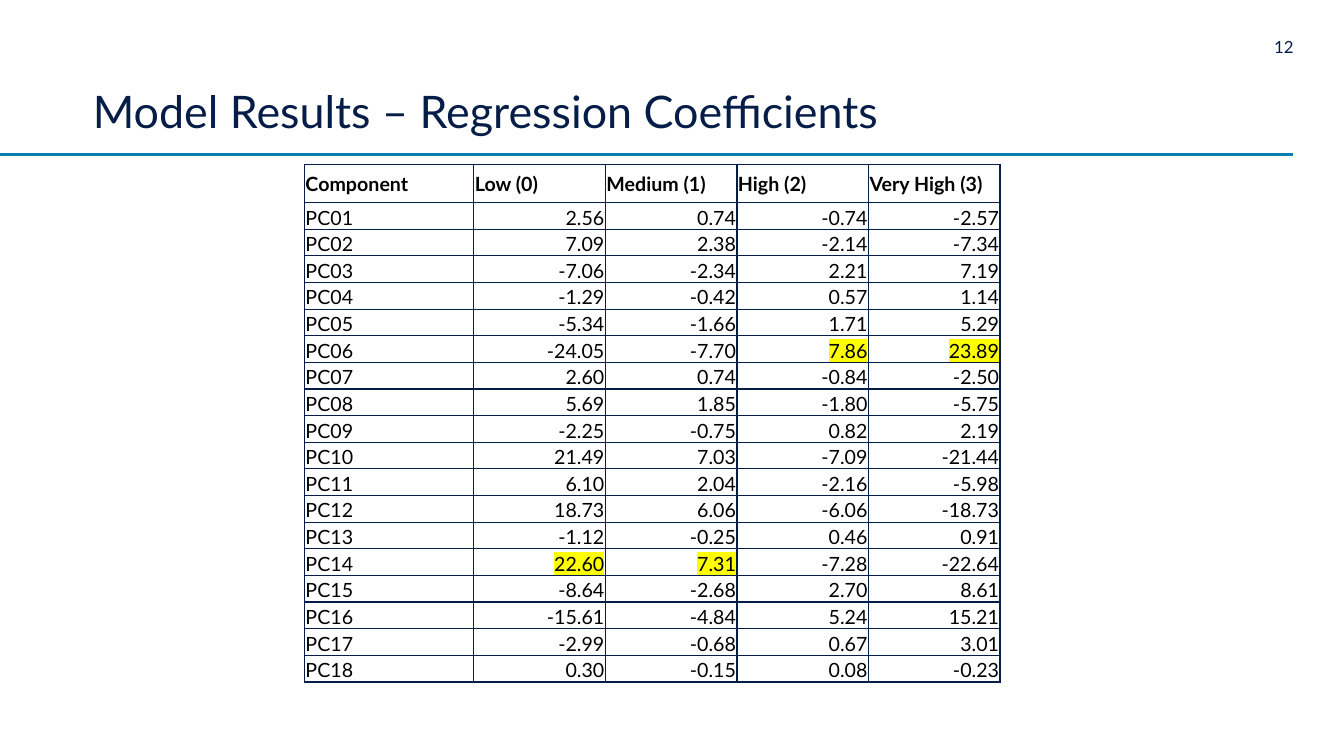
import pptx
import pptx.util
import pptx.oxml
import pptx.oxml.ns
import pptx.dml.color
import pptx.enum.shapes
import pptx.enum.text
import lxml.etree

Inches = pptx.util.Inches
Pt = pptx.util.Pt
RGB = pptx.dml.color.RGBColor
Align = pptx.enum.text.PP_ALIGN
Anchor = pptx.enum.text.MSO_ANCHOR
qn = pptx.oxml.ns.qn

NAVY = RGB(0x06, 0x1D, 0x48)
TEAL = RGB(0x09, 0x7E, 0xB1)
BLACK = RGB(0, 0, 0)
YELLOW = RGB(0xFF, 0xFF, 0)
FONT = "Lato"

HEADS = ["Component", "Low (0)", "Medium (1)", "High (2)", "Very High (3)"]
COEFS = [
    (2.56, 0.74, -0.74, -2.57),
    (7.09, 2.38, -2.14, -7.34),
    (-7.06, -2.34, 2.21, 7.19),
    (-1.29, -0.42, 0.57, 1.14),
    (-5.34, -1.66, 1.71, 5.29),
    (-24.05, -7.70, 7.86, 23.89),
    (2.60, 0.74, -0.84, -2.50),
    (5.69, 1.85, -1.80, -5.75),
    (-2.25, -0.75, 0.82, 2.19),
    (21.49, 7.03, -7.09, -21.44),
    (6.10, 2.04, -2.16, -5.98),
    (18.73, 6.06, -6.06, -18.73),
    (-1.12, -0.25, 0.46, 0.91),
    (22.60, 7.31, -7.28, -22.64),
    (-8.64, -2.68, 2.70, 8.61),
    (-15.61, -4.84, 5.24, 15.21),
    (-2.99, -0.68, 0.67, 3.01),
    (0.30, -0.15, 0.08, -0.23),
]


def write(para, text, size, color, align=Align.LEFT, bold=False):
    run = para.add_run()
    run.text = text
    para.alignment = align
    font = para.font
    font.name, font.size, font.bold = FONT, Pt(size), bold
    font.color.rgb = color
    return run


def clear(frame):
    frame.margin_left = frame.margin_right = 0
    frame.margin_top = frame.margin_bottom = 0
    frame.word_wrap = True


def mark(run):
    """Highlight a run in yellow."""
    light = lxml.etree.SubElement(run.font._element, qn("a:highlight"))
    lxml.etree.SubElement(light, qn("a:srgbClr"), val=str(YELLOW))


def border(cell):
    props = cell._tc.get_or_add_tcPr()
    for i, side in enumerate(("lnL", "lnR", "lnT", "lnB")):
        line = lxml.etree.Element(qn("a:" + side), w=str(Pt(1)))
        fill = lxml.etree.SubElement(line, qn("a:solidFill"))
        lxml.etree.SubElement(fill, qn("a:srgbClr"), val=str(NAVY))
        props.insert(i, line)


def add_title(slide, left, top, width, height):
    title = slide.shapes.title
    title.left, title.top = Inches(left), Inches(top)
    title.width, title.height = Inches(width), Inches(height)
    frame = title.text_frame
    clear(frame)
    frame.auto_size = pptx.enum.text.MSO_AUTO_SIZE.NONE
    frame.vertical_anchor = Anchor.BOTTOM
    para = frame.paragraphs[0]
    para.line_spacing = 0.9
    write(para, "Model Results – Regression Coefficients", 32, NAVY)


def add_number(slide, left, top, width, height):
    box = slide.shapes.add_textbox(
        Inches(left), Inches(top), Inches(width), Inches(height))
    clear(box.text_frame)
    write(box.text_frame.paragraphs[0], "12", 12, NAVY, Align.RIGHT)


def add_rule(slide, left, top, width):
    rule = slide.shapes.add_connector(
        pptx.enum.shapes.MSO_CONNECTOR.STRAIGHT,
        Inches(left), Inches(top), Inches(left + width), Inches(top))
    rule.line.color.rgb = TEAL
    rule.line.width = Pt(2.25)
    lxml.etree.SubElement(rule._element.spPr, qn("a:effectLst"))


def fill_cell(cell, text, head, align):
    cell.fill.background()
    border(cell)
    cell.margin_left = cell.margin_right = cell.margin_top = Inches(0.01)
    cell.margin_bottom = 0
    cell.vertical_anchor = Anchor.MIDDLE if head else Anchor.BOTTOM
    para = cell.text_frame.paragraphs[0]
    return write(para, text, 14, BLACK, align, head)


def add_grid(slide, left, top, width, height):
    rows, cols = len(COEFS) + 1, len(HEADS)
    grid = slide.shapes.add_table(
        rows, cols, Inches(left), Inches(top),
        Inches(width), Inches(height)).table
    grid.first_row = grid.horz_banding = False

    # The first column and the header row are larger; the rest are equal
    first, head = 1.68, 0.38
    for i, col in enumerate(grid.columns):
        col.width = Inches((width - first) / (cols - 1) if i else first)
    for i, row in enumerate(grid.rows):
        row.height = Inches((height - head) / (rows - 1) if i else head)

    for c, text in enumerate(HEADS):
        fill_cell(grid.cell(0, c), text, True, Align.LEFT)

    # The highest coefficient of each class is highlighted
    peaks = [max(col) for col in zip(*COEFS)]
    for r, coefs in enumerate(COEFS, 1):
        fill_cell(grid.cell(r, 0), f"PC{r:02}", False, Align.LEFT)
        for c, (coef, peak) in enumerate(zip(coefs, peaks), 1):
            run = fill_cell(grid.cell(r, c), f"{coef:.2f}", False, Align.RIGHT)
            if coef == peak:
                mark(run)


def main():
    deck = pptx.Presentation()
    deck.slide_width, deck.slide_height = Inches(13.33), Inches(7.5)
    slide = deck.slides.add_slide(deck.slide_layouts[5])
    add_rule(slide, 0, 1.53, 12.82)
    add_number(slide, 12.42, 0.36, 0.41, 0.2)
    add_title(slide, 0.92, 0.34, 9.71, 1.03)
    add_grid(slide, 3.02, 1.63, 6.9, 5.14)
    deck.save("out.pptx")


if __name__ == "__main__":
    main()
